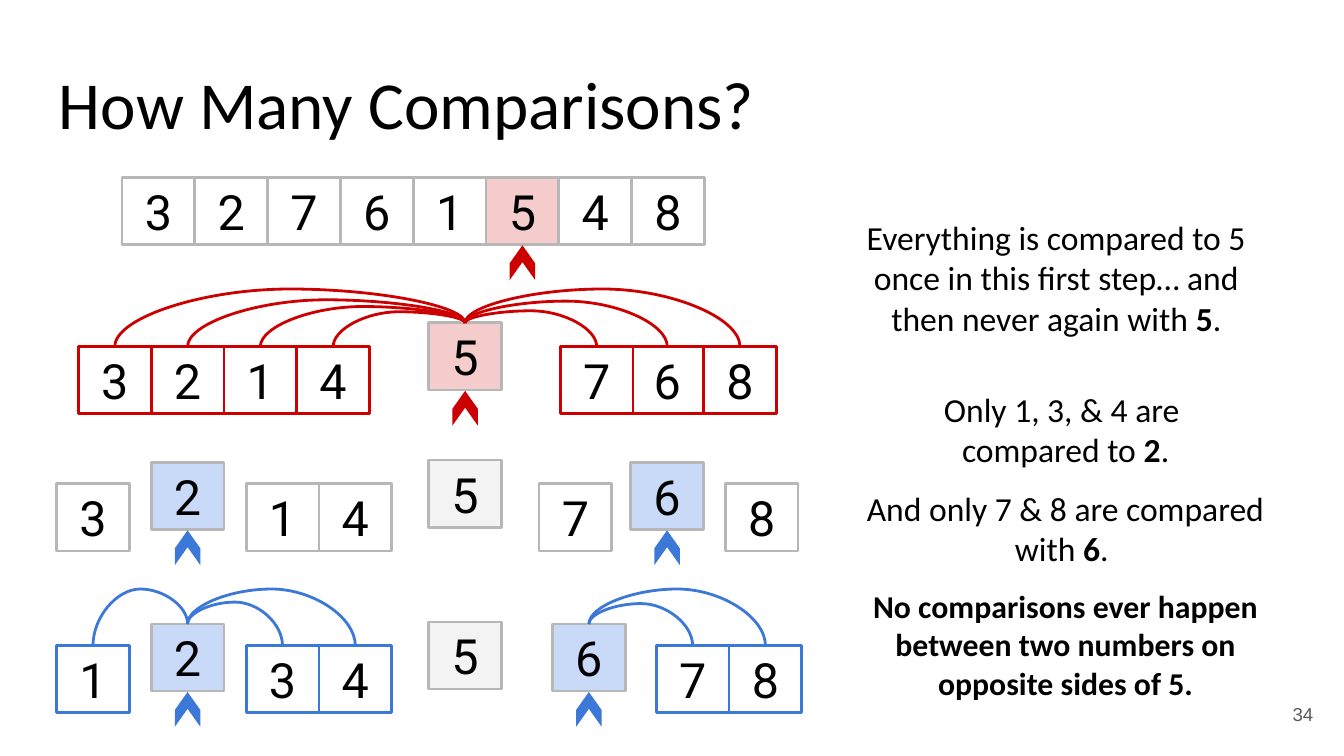
"""Build a slide that counts the comparisons made by quicksort."""
from lxml.etree import SubElement
from pptx import Presentation
from pptx.dml.color import RGBColor
from pptx.enum.shapes import MSO_CONNECTOR, MSO_SHAPE
from pptx.enum.text import MSO_ANCHOR, PP_ALIGN
from pptx.oxml.ns import qn
from pptx.util import Pt

COLORS = {
    "black": "000000", "white": "FFFFFF", "number": "595959",
    "gray": "B7B7B7", "settled": "F3F3F3",
    "red": "CC0000", "pink": "F4CCCC",
    "blue": "3C78D8", "sky": "C9DAF8",
}
CELL_WIDTH, CELL_HEIGHT = 39, 36


def rgb(color):
    return RGBColor.from_string(COLORS[color])


def prepare_frame(shape):
    frame = shape.text_frame
    frame.word_wrap = True
    frame.vertical_anchor = MSO_ANCHOR.MIDDLE
    frame.margin_left = frame.margin_right = Pt(7.2)
    frame.margin_top = frame.margin_bottom = Pt(7.2)
    return frame


def add_run(paragraph, text, font, size, color="black", bold=False):
    run = paragraph.add_run()
    run.text = text
    run.font.name = font
    run.font.size = Pt(size)
    run.font.bold = bold
    run.font.color.rgb = rgb(color)


def add_label(slide, box, text, font, size, align, color="black"):
    label = slide.shapes.add_textbox(*map(Pt, box))
    paragraph = prepare_frame(label).paragraphs[0]
    paragraph.alignment = align
    add_run(paragraph, text, font, size, color)


def add_cells(slide, values, left, top, border="gray", fill="white"):
    cells = []
    for index, value in enumerate(values):
        cell = slide.shapes.add_shape(
            MSO_SHAPE.RECTANGLE, Pt(left + index * CELL_WIDTH), Pt(top),
            Pt(CELL_WIDTH), Pt(CELL_HEIGHT))
        cell.shadow.inherit = False
        cell.fill.solid()
        cell.fill.fore_color.rgb = rgb(fill)
        cell.line.color.rgb = rgb(border)
        cell.line.width = Pt(1.5)
        paragraph = prepare_frame(cell).paragraphs[0]
        paragraph.alignment = PP_ALIGN.CENTER
        add_run(paragraph, value, "Roboto", 26)
        cells.append(cell)
    return cells


def add_marker(slide, pivot, color):
    length, breadth = Pt(18.6), Pt(13.6)
    center_x = pivot.left + pivot.width // 2
    center_y = pivot.top + pivot.height + Pt(9.7)
    marker = slide.shapes.add_shape(
        MSO_SHAPE.CHEVRON, center_x - length // 2, center_y - breadth // 2,
        length, breadth)
    marker.adjustments[0] = 0.705
    marker.rotation = 270
    marker.shadow.inherit = False
    marker.fill.solid()
    marker.fill.fore_color.rgb = rgb(color)
    marker.line.fill.background()


def add_pivot(slide, value, left, top, fill, marker_color):
    pivot, = add_cells(slide, value, left, top, fill=fill)
    add_marker(slide, pivot, marker_color)
    return pivot


def add_arc(slide, cell, pivot, peak, color):
    """Curve from the top of a cell over the height peak to the top of its pivot."""
    arc = slide.shapes.add_connector(MSO_CONNECTOR.CURVE, 0, 0, 0, 0)
    arc.begin_connect(cell, 0)
    arc.end_connect(pivot, 0)
    arc.line.color.rgb = rgb(color)
    arc.line.width = Pt(1.5)

    rise, span = cell.top - pivot.top, abs(pivot.left - cell.left)
    center_x = (cell.left + pivot.left + CELL_WIDTH * Pt(1)) // 2
    center_y = (cell.top + pivot.top) // 2
    arc.left, arc.top = center_x - rise // 2, center_y - span // 2
    arc.width, arc.height = rise, span

    cell_is_left = cell.left < pivot.left
    properties = arc._element.spPr
    transform = properties.find(qn("a:xfrm"))
    transform.set("rot", str((270 if cell_is_left else 90) * 60000))
    transform.set("flipH", "0" if cell_is_left else "1")
    transform.set("flipV", "0")
    guides = properties.find(qn("a:prstGeom")).find(qn("a:avLst"))
    bend = round((cell.top - Pt(peak)) / rise * 100000)
    SubElement(guides, qn("a:gd"), name="adj1", fmla=f"val {bend}")
    SubElement(properties, qn("a:effectLst"))


def add_arcs(slide, cells, pivot, peaks, color):
    for cell, peak in zip(cells, peaks):
        add_arc(slide, cell, pivot, peak, color)


def add_remark(slide, box, paragraphs):
    remark = slide.shapes.add_shape(MSO_SHAPE.ROUNDED_RECTANGLE, *map(Pt, box))
    remark.shadow.inherit = False
    remark.fill.background()
    remark.line.fill.background()
    frame = prepare_frame(remark)
    for index, (size, runs) in enumerate(paragraphs):
        paragraph = frame.add_paragraph() if index else frame.paragraphs[0]
        paragraph.alignment = PP_ALIGN.CENTER
        paragraph.space_before = Pt(10 if index else 0)
        for text, bold in runs:
            for line_index, line in enumerate(text.split("\n")):
                if line_index:
                    paragraph.add_line_break()
                add_run(paragraph, line, "Calibri", size, bold=bold)


def add_first_step(slide):
    add_cells(slide, "32761", 65.4, 95)
    add_pivot(slide, "5", 260.4, 95, "pink", "red")
    add_cells(slide, "48", 299.4, 95)

    smaller = add_cells(slide, "3214", 42, 185.7, "red")
    pivot = add_pivot(slide, "5", 229.7, 173, "pink", "red")
    larger = add_cells(slide, "68", 338, 185.7, "red")
    larger += add_cells(slide, "7", 300.2, 185.7, "red")
    add_arcs(slide, smaller, pivot, (154.8, 160.6, 164.2, 167), "red")
    add_arcs(slide, larger, pivot, (161.3, 154.8, 166.5), "red")


def add_second_step(slide):
    for values, left in (("3", 30.3), ("14", 131.9), ("7", 288.8), ("8", 388.6)):
        add_cells(slide, values, left, 259.2)
    add_cells(slide, "5", 229.7, 246.5, fill="settled")
    for value, left in (("2", 81), ("6", 337.9)):
        add_pivot(slide, value, left, 247.7, "sky", "blue")

    add_cells(slide, "5", 229.7, 333.2, fill="settled")
    halves = (
        ("2", 81, (("1", 30.3), ("34", 131.9)), (315.5, 322.5, 315.5)),
        ("6", 296, (("78", 351.6),), (323.3, 315.5)),
    )
    for value, left, groups, peaks in halves:
        pivot = add_pivot(slide, value, left, 334.3, "sky", "blue")
        cells = []
        for values, group_left in groups:
            cells += add_cells(slide, values, group_left, 345.9, "blue")
        add_arcs(slide, cells, pivot, peaks, "blue")


def main():
    deck = Presentation()
    deck.slide_width, deck.slide_height = Pt(720), Pt(405)
    slide = deck.slides.add_slide(deck.slide_layouts[6])
    add_label(slide, (24.5, 29.5, 671, 51), "How Many Comparisons?",
              "Calibri", 36, PP_ALIGN.LEFT)
    add_label(slide, (667.4, 367.2, 43.2, 31), "34",
              "Arial", 10, PP_ALIGN.RIGHT, "number")
    add_first_step(slide)
    add_second_step(slide)
    add_remark(slide, (447.8, 80.6, 236.2, 136), [
        (18, [("Everything is compared to 5 once in this first step… "
               "and then never again with ", False), ("5", True), (".", False)]),
    ])
    add_remark(slide, (446.4, 202.3, 249, 179.3), [
        (18, [("Only 1, 3, & 4 are \ncompared to ", False), ("2", True), (".", False)]),
        (18, [("And only 7 & 8 are compared with ", False), ("6", True), (". ", False)]),
        (17, [("No comparisons ever happen between two numbers "
               "on opposite sides of 5.", True)]),
    ])
    deck.save("out.pptx")


if __name__ == "__main__":
    main()
